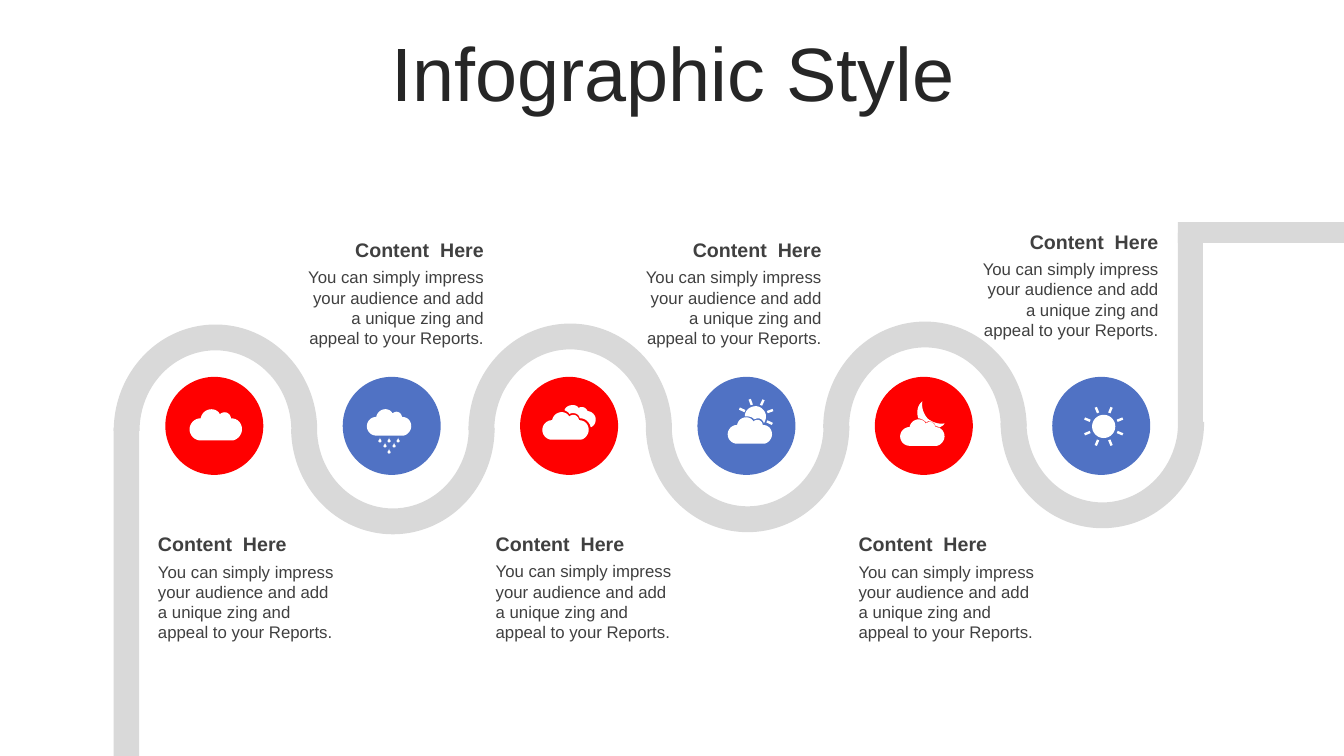
"""Build the weather road infographic slide."""
import dataclasses
import math

import pptx
import pptx.dml.color
import pptx.enum.shapes
import pptx.enum.text
import pptx.shapes.autoshape
import pptx.slide
import pptx.util

Pt = pptx.util.Pt
Preset = pptx.enum.shapes.MSO_SHAPE
Align = pptx.enum.text.PP_ALIGN
Point = tuple[float, float]
Contour = list[Point]

ROAD, RED, BLUE, WHITE = "D9D9D9", "FF0000", "5072C4", "FFFFFF"
HEADING = "Content  Here"
DETAIL = ("You can simply impress your audience and add a unique zing "
          "and appeal to your Reports.")
STAGE_PITCH = 126.7
ICON_UNIT = 0.72
ICON_DETAIL = 100
CLOUD_WIDTH = 52

CLOUD_CURVE = [(22, 0), (25, 0), (29, 2), (30, 5), (31, 4), (33, 3), (35, 3),
               (38, 3), (41, 6), (41, 9), (48, 9), (52, 14), (52, 20),
               (52, 25), (48, 30), (43, 31), (43, 31), (11, 31), (11, 31),
               (5, 31), (0, 26), (0, 20), (0, 14), (5, 9), (11, 9),
               (12, 4), (16, 0), (22, 0)]
REAR_CLOUD_CURVE = [(30, 0), (33, 0), (35, 1), (36, 3), (37, 2), (38, 2), (40, 2),
                    (42, 2), (44, 4), (45, 6), (49, 6), (53, 10), (53, 14),
                    (53, 18), (51, 21), (48, 22), (47, 17), (43, 13), (37, 13),
                    (37, 10), (34, 8), (31, 8), (29, 8), (28, 8), (27, 9),
                    (26, 7), (24, 6), (22, 5), (23, 2), (26, 0), (30, 0)]
RISING_SUN_CURVE = [(28, 7), (33, 7), (38, 12), (38, 17), (38, 20), (37, 22), (36, 24),
                    (35, 21), (33, 19), (30, 19), (29, 19), (27, 20), (26, 20),
                    (25, 18), (22, 17), (17, 17), (17, 11), (22, 7), (28, 7)]
MOON_CURVE = [(22, 0), (21, 6), (23, 12), (27, 17), (32, 21), (38, 23), (44, 22),
              (43, 24), (41, 25), (39, 26), (38, 25), (37, 25), (35, 25),
              (35, 22), (32, 20), (29, 20), (28, 20), (27, 20), (26, 21),
              (24, 19), (21, 17), (18, 17), (16, 11), (17, 4), (22, 0)]
DROP_CURVE = [(0, 0), (0, 1), (0.5, 2), (1, 2.5), (2, 3.5), (1.5, 5), (0, 5),
              (-1.5, 5), (-2, 3.5), (-1, 2.5), (-0.5, 2), (0, 1), (0, 0)]
DROP_TIPS = [(22, 39), (27, 33), (18, 33), (13, 28), (31, 28), (22, 28)]


def smooth(curve: Contour, steps: int = 8) -> Contour:
    """Sample a chain of cubic curves."""
    samples = [curve[0]]
    for first in range(0, len(curve) - 1, 3):
        controls = curve[first:first + 4]
        for step in range(1, steps + 1):
            t = step / steps
            weights = [math.comb(3, k) * t**k * (1 - t)**(3 - k) for k in range(4)]
            samples.append((sum(w * x for w, (x, _) in zip(weights, controls)),
                            sum(w * y for w, (_, y) in zip(weights, controls))))
    return samples


def place(contour: Contour, left: float, top: float, scale: float = 1) -> Contour:
    """Scale and move a contour."""
    return [(left + x * scale, top + y * scale) for x, y in contour]


def cloud(top: float, width: float) -> Contour:
    """Return a cloud of the given width."""
    return place(smooth(CLOUD_CURVE), 0, top, width / CLOUD_WIDTH)


def disc(center: Point, radius: float) -> Contour:
    """Return a round contour."""
    turns = [math.tau * step / 40 for step in range(41)]
    return place([(math.cos(a), math.sin(a)) for a in turns], *center, radius)


def rays(center: Point, inner: float, outer: float, count: int, first: float) -> list[Contour]:
    """Return sun rays at steps of 45 degrees."""
    corners = [(inner, -1.2), (outer, -1.2), (outer, 1.2), (inner, 1.2), (inner, -1.2)]
    beams = []
    for step in range(count):
        angle = math.radians(first + 45 * step)
        cos, sin = math.cos(angle), math.sin(angle)
        beams.append(place([(x * cos - y * sin, x * sin + y * cos) for x, y in corners],
                           *center))
    return beams


@dataclasses.dataclass(frozen=True)
class Stage:
    """One stop on the road with its caption and icon."""

    fill: str
    arc_top: float
    caption_left: float
    caption_top: float
    icon_left: float
    icon_top: float
    icon: list[Contour]


STAGES = [
    Stage(RED, 231.8, 105.8, 376.6, 135.4, 292.3, [cloud(0, 52)]),
    Stage(BLUE, 229.7, 208.8, 166.3, 262.1, 292.3,
          [cloud(0, 44)] + [place(smooth(DROP_CURVE), x, y) for x, y in DROP_TIPS]),
    Stage(RED, 231.1, 347, 376.3, 387.4, 289.4, [cloud(7, 46), smooth(REAR_CLOUD_CURVE)]),
    Stage(BLUE, 228.2, 450, 166.3, 519.8, 285.1,
          [cloud(18, 44), smooth(RISING_SUN_CURVE), *rays((28, 17), 12, 18, 5, -155)]),
    Stage(RED, 229.7, 606.2, 376.6, 643, 286.6, [cloud(18, 44), smooth(MOON_CURVE)]),
    Stage(BLUE, 225.4, 690.7, 160.4, 774, 290.2,
          [disc((20, 20), 11.5), *rays((20, 20), 14.5, 20.5, 8, 22.5)]),
]


def color(hex_code: str) -> pptx.dml.color.RGBColor:
    """Turn a hex string into a colour."""
    return pptx.dml.color.RGBColor.from_string(hex_code)


def paint(shape: pptx.shapes.autoshape.Shape, fill: str) -> None:
    """Give a shape a flat fill only."""
    shape.shadow.inherit = False
    shape.fill.solid()
    shape.fill.fore_color.rgb = color(fill)
    shape.line.fill.background()


def add_solid(slide: pptx.slide.Slide, preset: Preset, left: float, top: float,
              width: float, height: float, fill: str) -> pptx.shapes.autoshape.Shape:
    """Draw a filled preset shape."""
    solid = slide.shapes.add_shape(preset, Pt(left), Pt(top), Pt(width), Pt(height))
    paint(solid, fill)
    return solid


def add_text(slide: pptx.slide.Slide, text: str, left: float, top: float, width: float,
             height: float, size: float, align: Align, ink: str = "404040",
             bold: bool = False) -> pptx.shapes.autoshape.Shape:
    """Write one wrapped paragraph."""
    box = slide.shapes.add_textbox(Pt(left), Pt(top), Pt(width), Pt(height))
    box.text_frame.word_wrap = True
    paragraph = box.text_frame.paragraphs[0]
    paragraph.text = text
    paragraph.alignment = align
    font = paragraph.runs[0].font
    font.name, font.size, font.bold = "Arial", Pt(size), bold
    font.color.rgb = color(ink)
    return box


def add_icon(slide: pptx.slide.Slide, stage: Stage) -> None:
    """Draw a stage's icon as one white outline."""
    contours = [place(contour, 0, 0, ICON_DETAIL) for contour in stage.icon]
    outline = slide.shapes.build_freeform(*contours[0][0], scale=Pt(ICON_UNIT) / ICON_DETAIL)
    outline.add_line_segments(contours[0][1:], close=True)
    for contour in contours[1:]:
        outline.move_to(*contour[0])
        outline.add_line_segments(contour[1:], close=True)
    paint(outline.convert_to_shape(Pt(stage.icon_left), Pt(stage.icon_top)), WHITE)


def main() -> None:
    """Build and save the slide."""
    deck = pptx.Presentation()
    deck.slide_width, deck.slide_height = Pt(960), Pt(540)
    slide = deck.slides.add_slide(deck.slide_layouts[6])

    title = add_text(slide, "Infographic Style", 25.2, 26.6, 911.5, 56.9, 54,
                     Align.CENTER, "262626")
    title.text_frame.vertical_anchor = pptx.enum.text.MSO_ANCHOR.MIDDLE
    title.text_frame.paragraphs[0].line_spacing = 0.9
    title.text_frame.paragraphs[0].space_before = Pt(10)

    for index, stage in enumerate(STAGES):
        bend = add_solid(slide, Preset.BLOCK_ARC, 81.2 + index * STAGE_PITCH,
                         stage.arc_top, 145.4, 151.9, ROAD)
        for slot, value in enumerate((108, 215.594, 0.127)):
            bend.adjustments[slot] = value
        bend.rotation = 180 * (index % 2)
    for stretch in ((81.2, 306, 18.2, 234), (841.3, 166.3, 18, 144),
                    (841.3, 158.6, 118.7, 15)):
        add_solid(slide, Preset.RECTANGLE, *stretch, ROAD)
    for index, stage in enumerate(STAGES):
        add_solid(slide, Preset.OVAL, 118.1 + index * STAGE_PITCH, 269.2, 70, 70, stage.fill)
    for index, stage in enumerate(STAGES):
        align = Align.RIGHT if index % 2 else Align.LEFT
        left, top = stage.caption_left, stage.caption_top
        add_text(slide, HEADING, left, top, 144, 24.2, 14, align, bold=True)
        add_text(slide, DETAIL, left, top + 21, 144, 65.4, 12, align)
    for stage in STAGES:
        add_icon(slide, stage)

    deck.save("out.pptx")


if __name__ == "__main__":
    main()
